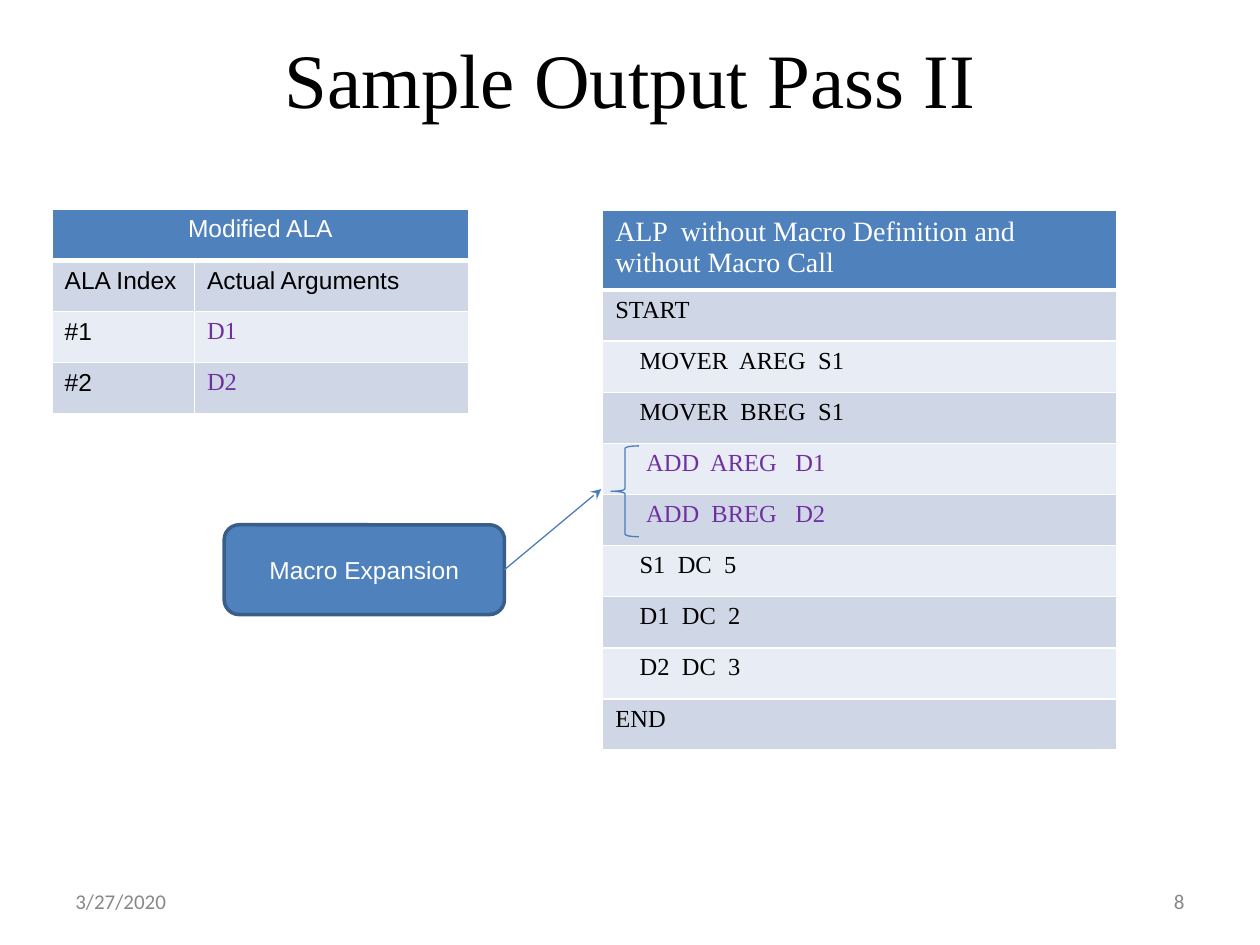
from lxml.etree import SubElement
from pptx import Presentation
from pptx.dml.color import RGBColor
from pptx.enum.shapes import MSO_CONNECTOR, MSO_SHAPE
from pptx.enum.text import MSO_ANCHOR, PP_ALIGN
from pptx.oxml.ns import qn
from pptx.util import Cm, Pt

# Content
TITLE = "Sample Output Pass II"
DATE, NUMBER = "3/27/2020", "8"
CALLOUT = "Macro Expansion"
ARGUMENT_HEAD = "Modified ALA"
ARGUMENT_ROWS = [("ALA Index", "Actual Arguments"), ("#1", "D1"), ("#2", "D2")]
PROGRAM_HEAD = "ALP  without Macro Definition and without Macro Call"
STATEMENT, EXPANDED = 0.49, 0.62  # code indents in cm
PROGRAM_ROWS = [
    ("START", 0),
    ("MOVER  AREG  S1", STATEMENT),
    ("MOVER  BREG  S1", STATEMENT),
    ("ADD  AREG   D1", EXPANDED),
    ("ADD  BREG   D2", EXPANDED),
    ("S1  DC  5", STATEMENT),
    ("D1  DC  2", STATEMENT),
    ("D2  DC  3", STATEMENT),
    ("END", 0),
]

# Look
COLORS = {
    "black": "000000", "white": "FFFFFF", "grey": "888888", "purple": "7030A0",
    "blue": "4F81BD", "edge": "395E89", "line": "4A7DBA",
    "dark band": "CFD7E7", "light band": "E8ECF4",
}
SANS, SERIF, FOOTER = "Arial", "Times New Roman", "Calibri"
ROW_HEIGHT = 1.03


def color(name):
    return RGBColor.from_string(COLORS[name])


def write(frame, text, font=SANS, size=14, ink="black", align=PP_ALIGN.LEFT, indent=0):
    frame.word_wrap = True
    para = frame.paragraphs[0]
    para.alignment = align
    if indent:
        para._p.get_or_add_pPr().set("marL", str(Cm(indent)))
    span = para.add_run()
    span.text = text
    span.font.name, span.font.size, span.font.bold = font, Pt(size), False
    span.font.color.rgb = color(ink)


def add_text(page, text, left, top, width, height, **style):
    box = page.shapes.add_textbox(Cm(left), Cm(top), Cm(width), Cm(height))
    box.text_frame.vertical_anchor = MSO_ANCHOR.MIDDLE
    write(box.text_frame, text, **style)


def add_grid(page, left, top, widths, heights):
    """Add a banded table with white rules, thick below the header."""
    table = page.shapes.add_table(
        len(heights), len(widths), Cm(left), Cm(top), Cm(sum(widths)), Cm(sum(heights))
    ).table
    for column, width in zip(table.columns, widths):
        column.width = Cm(width)
    for index, height in enumerate(heights):
        table.rows[index].height = Cm(height)
        band = "blue" if index == 0 else "dark band" if index % 2 else "light band"
        for cell in table.rows[index].cells:
            properties = cell._tc.get_or_add_tcPr()
            for side in "LRTB":
                thick = (index, side) in ((0, "B"), (1, "T"))
                rule = SubElement(properties, qn(f"a:ln{side}"), w=str(Pt(3 if thick else 1)))
                fill = SubElement(rule, qn("a:solidFill"))
                SubElement(fill, qn("a:srgbClr"), val=COLORS["white"])
            cell.fill.solid()
            cell.fill.fore_color.rgb = color(band)
    return table


def add_outline(page, kind, left, top, width, height, line, weight):
    shape = page.shapes.add_shape(kind, Cm(left), Cm(top), Cm(width), Cm(height))
    shape.shadow.inherit = False
    shape.line.color.rgb = color(line)
    shape.line.width = Pt(weight)
    return shape


deck = Presentation()
deck.slide_width, deck.slide_height = Cm(25.4), Cm(19.05)
page = deck.slides.add_slide(deck.slide_layouts[6])

# Title and footer
add_text(page, TITLE, 1.27, 0.76, 22.86, 1.63, font=SERIF, size=44, align=PP_ALIGN.CENTER)
for text, left, align in ((DATE, 1.27, PP_ALIGN.LEFT), (NUMBER, 18.2, PP_ALIGN.RIGHT)):
    add_text(page, text, left, 17.66, 5.93, 1.01, font=FOOTER, size=12, ink="grey", align=align)

# Argument table
arguments = add_grid(page, 1.05, 4.22, [2.87, 5.53], [ROW_HEIGHT] * (len(ARGUMENT_ROWS) + 1))
arguments.cell(0, 0).merge(arguments.cell(0, 1))
write(arguments.cell(0, 0).text_frame, ARGUMENT_HEAD, ink="white", align=PP_ALIGN.CENTER)
for row, (index, value) in enumerate(ARGUMENT_ROWS, 1):
    style = {} if row == 1 else {"font": SERIF, "ink": "purple"}
    write(arguments.cell(row, 0).text_frame, index)
    write(arguments.cell(row, 1).text_frame, value, **style)

# Program table
program = add_grid(page, 12.15, 4.24, [10.36], [1.48] + [ROW_HEIGHT] * len(PROGRAM_ROWS))
write(program.cell(0, 0).text_frame, PROGRAM_HEAD, font=SERIF, size=16, ink="white")
for row, (code, indent) in enumerate(PROGRAM_ROWS, 1):
    ink = "purple" if indent == EXPANDED else "black"
    write(program.cell(row, 0).text_frame, code, font=SERIF, ink=ink, indent=indent)

# Callout, arrow and brace around the expanded lines
callout = add_outline(page, MSO_SHAPE.ROUNDED_RECTANGLE, 4.52, 10.58, 5.65, 1.81, "edge", 2)
callout.fill.solid()
callout.fill.fore_color.rgb = color("blue")
callout.text_frame.vertical_anchor = MSO_ANCHOR.MIDDLE
write(callout.text_frame, CALLOUT, ink="white", align=PP_ALIGN.CENTER)

arrow = page.shapes.add_connector(MSO_CONNECTOR.STRAIGHT, 0, 0, Cm(12.12), Cm(9.86))
arrow.begin_connect(callout, 3)
arrow.line.color.rgb = color("line")
arrow.line.width = Pt(0.75)
SubElement(arrow.line._get_or_add_ln(), qn("a:tailEnd"), type="stealth")
SubElement(arrow._element.spPr, qn("a:effectLst"))

brace = add_outline(page, MSO_SHAPE.LEFT_BRACE, 12.32, 8.99, 0.56, 1.83, "line", 0.75)
brace.fill.background()

deck.save("out.pptx")
